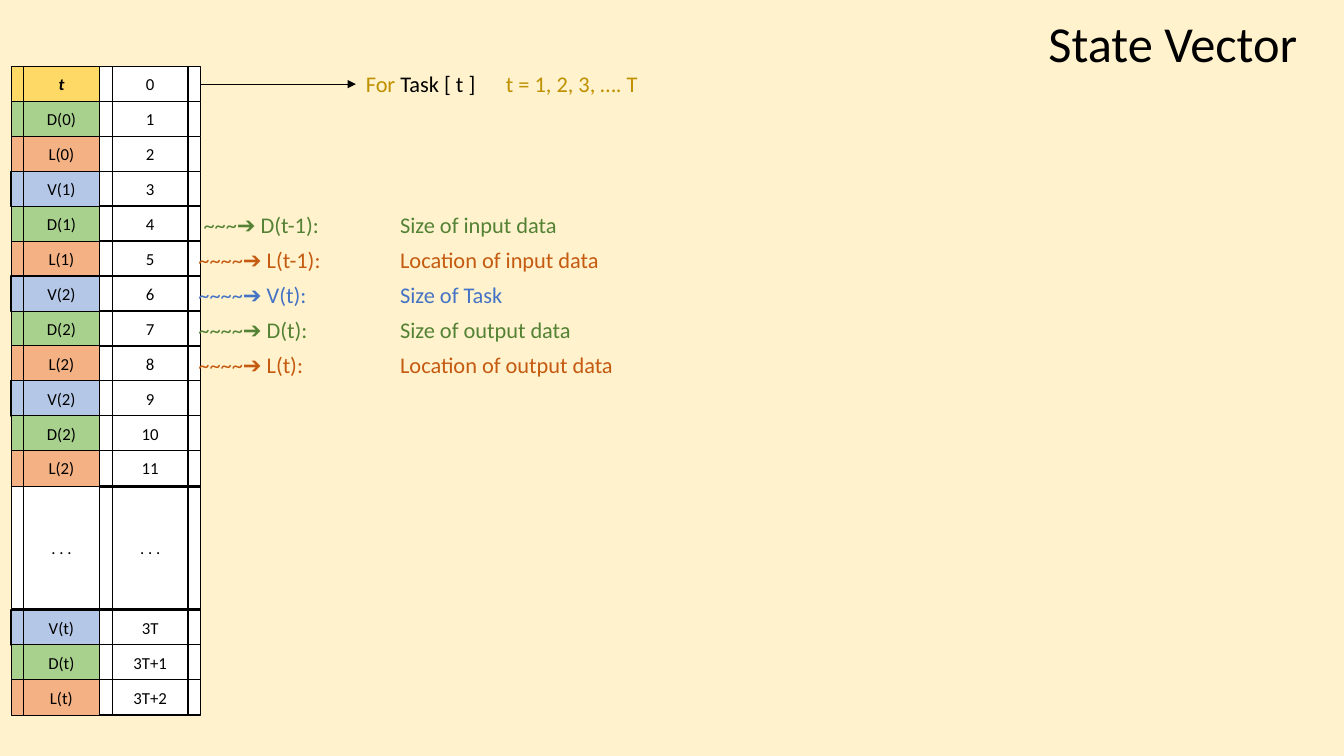
import pptx
import pptx.util
import pptx.dml.color
import pptx.enum.shapes
import pptx.enum.text
import pptx.oxml
import pptx.oxml.ns
from lxml import etree

Inches, Pt = pptx.util.Inches, pptx.util.Pt

COLORS = {
    "background": "FFF2CC", "black": "000000", "white": "FFFFFF",
    "t": "FFD966", "D": "A9D18E", "L": "F4B183", "V": "B4C7E7", ".": "FFFFFF",
    "gold text": "BF9000", "D text": "548235", "L text": "C55A11", "V text": "4472C4",
}
FONT = "Calibri"

# State vector entries: label and index
FIRST_ENTRIES = [
    ("t", "0"), ("D(0)", "1"), ("L(0)", "2"), ("V(1)", "3"),
    ("D(1)", "4"), ("L(1)", "5"), ("V(2)", "6"), ("D(2)", "7"),
    ("L(2)", "8"), ("V(2)", "9"), ("D(2)", "10"), ("L(2)", "11"),
]
SKIPPED_ENTRIES = (". . .", ". . .")
LAST_ENTRIES = [("V(t)", "3T"), ("D(t)", "3T+1"), ("L(t)", "3T+2")]

# Entry row, pointer, symbol, meaning
MEANINGS = [
    (4, " ~~~➔", "D(t-1):", "Size of input data"),
    (5, "~~~~➔", "L(t-1):", "Location of input data"),
    (6, "~~~~➔", "V(t):", "Size of Task"),
    (7, "~~~~➔", "D(t):", "Size of output data"),
    (8, "~~~~➔", "L(t):", "Location of output data"),
]
TASK_RANGE = [("For ", "gold text"), ("Task [ t ]\t", "black"),
              ("t = 1, 2, 3, …. T", "gold text")]

# Grid, in inches
LABEL_LEFT, INDEX_LEFT, CELL_WIDTH, CELL_HEIGHT = 0.11, 0.99, 1, 0.35
TOP = 0.66
PITCH = (4.47 - TOP) / 11
SKIP_TOP, SKIP_HEIGHT = 4.83, 1.21
LAST_TOP = 6.05
MEANING_LEFT, TASK_LEFT = 1.87, 3.53


def rgb(name):
    """Return the named colour."""
    return pptx.dml.color.RGBColor.from_string(COLORS[name])


def style(run, size, color):
    """Set the font of a run."""
    run.font.name, run.font.size = FONT, Pt(size)
    run.font.color.rgb = rgb(color)


def add_cell(left, top, height, text, fill, line_width):
    """Draw one framed cell of the state vector."""
    cell = slide.shapes.add_shape(
        pptx.enum.shapes.MSO_SHAPE.FLOWCHART_PREDEFINED_PROCESS,
        Inches(left), Inches(top), Inches(CELL_WIDTH), Inches(height))
    cell.shadow.inherit = False
    cell.fill.solid()
    cell.fill.fore_color.rgb = rgb(fill)
    cell.line.color.rgb = rgb("black")
    cell.line.width = Pt(line_width)
    cell.text_frame.text = text
    cell.text_frame.vertical_anchor = pptx.enum.text.MSO_ANCHOR.MIDDLE
    paragraph = cell.text_frame.paragraphs[0]
    paragraph.alignment = pptx.enum.text.PP_ALIGN.CENTER
    style(paragraph.runs[0], 12, "black")
    paragraph.runs[0].font.bold = paragraph.runs[0].font.italic = text == "t"


def add_text(left, top, width, height, pieces, size, tab=None, wrap=True):
    """Write a line of coloured pieces, with an optional tab stop."""
    box = slide.shapes.add_textbox(Inches(left), Inches(top), Inches(width), Inches(height))
    box.text_frame.word_wrap = wrap
    box.text_frame.auto_size = pptx.enum.text.MSO_AUTO_SIZE.SHAPE_TO_FIT_TEXT
    paragraph = box.text_frame.paragraphs[0]
    if tab:
        qn = pptx.oxml.ns.qn
        stops = etree.SubElement(paragraph._p.get_or_add_pPr(), qn("a:tabLst"))
        etree.SubElement(stops, qn("a:tab"), pos=str(int(Inches(tab))), algn="l")
    for text, color in pieces:
        run = paragraph.add_run()
        run.text = text
        style(run, size, color)


def add_arrow(start, end, y):
    """Draw a thin horizontal arrow."""
    arrow = slide.shapes.add_connector(
        pptx.enum.shapes.MSO_CONNECTOR.STRAIGHT,
        Inches(start), Inches(y), Inches(end), Inches(y))
    arrow.line.color.rgb = rgb("black")
    arrow.line.width = Pt(0.5)
    qn = pptx.oxml.ns.qn
    properties = arrow._element.spPr
    etree.SubElement(properties.find(qn("a:ln")), qn("a:tailEnd"), type="triangle")
    etree.SubElement(properties, qn("a:effectLst"))


deck = pptx.Presentation()
deck.slide_width, deck.slide_height = Inches(13.33), Inches(7.5)
slide = deck.slides.add_slide(deck.slide_layouts[6])
slide.background.fill.solid()
slide.background.fill.fore_color.rgb = rgb("background")

rows = [(SKIP_TOP, SKIP_HEIGHT, SKIPPED_ENTRIES)]
for first_top, entries in ((TOP, FIRST_ENTRIES), (LAST_TOP, LAST_ENTRIES)):
    rows += [(first_top + i * PITCH, CELL_HEIGHT, entry) for i, entry in enumerate(entries)]

for top, height, (label, index) in rows:
    add_cell(LABEL_LEFT, top, height, label, label[0], 1 if label[0] == "V" else 0.5)
for top, height, (label, index) in rows:
    add_cell(INDEX_LEFT, top, height, index, "white", 1)

add_arrow(INDEX_LEFT + CELL_WIDTH, TASK_LEFT, TOP + CELL_HEIGHT / 2)
add_text(TASK_LEFT, TOP - 0.01, 3.64, 0.37, TASK_RANGE, 16, tab=1.39)
for row, pointer, symbol, meaning in MEANINGS:
    add_text(MEANING_LEFT, TOP + row * PITCH, 5.72, 0.37,
             [(f"{pointer} {symbol}\t{meaning}", symbol[0] + " text")], 16, tab=2)
add_text(10.3, 0.07, 2.69, 0.71, [("State Vector", "black")], 36, wrap=False)

deck.save("out.pptx")
